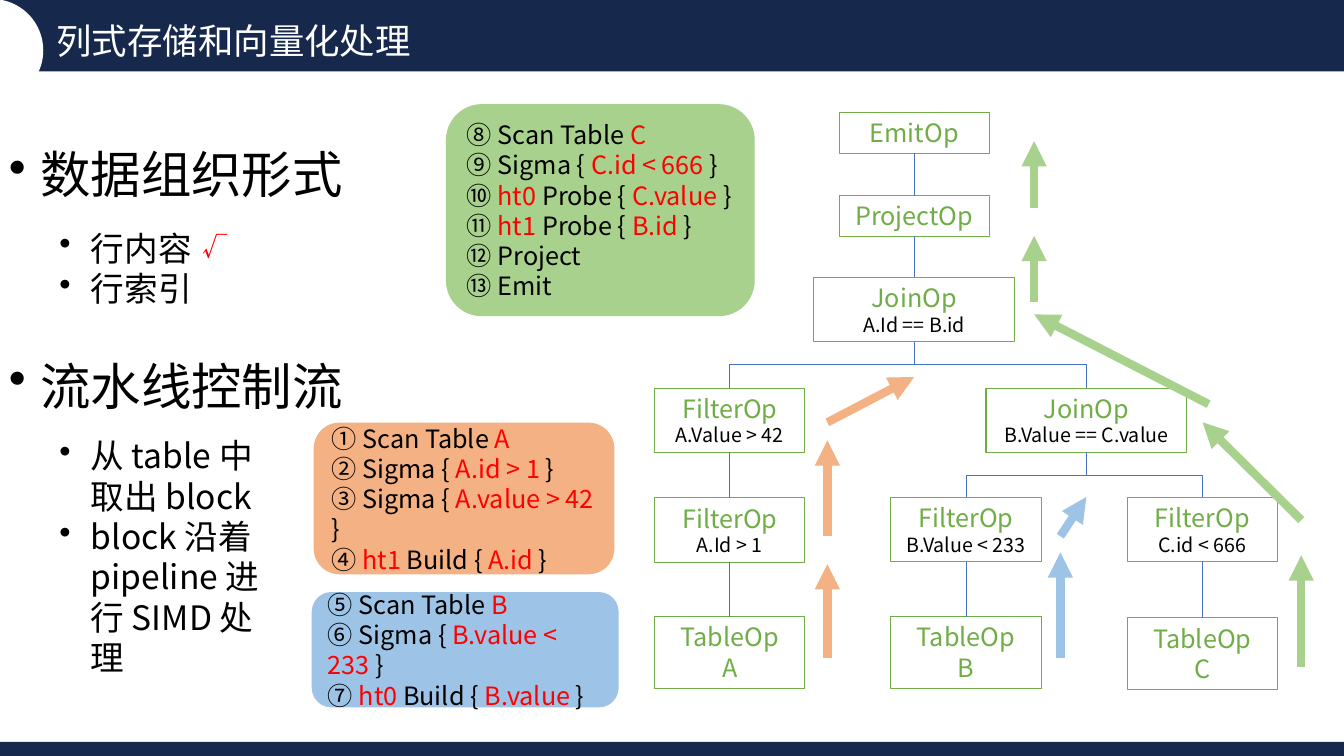
from lxml.etree import SubElement
from pptx import Presentation
from pptx.dml.color import RGBColor
from pptx.enum.shapes import MSO_CONNECTOR as Line, MSO_SHAPE as Kind
from pptx.enum.text import MSO_ANCHOR as Anchor, MSO_AUTO_SIZE as Fit, PP_ALIGN as Align
from pptx.oxml.ns import qn
from pptx.util import Pt

FONT = "Noto Sans CJK SC"
HEX = {
    "navy": "16294C", "white": "FFFFFF", "black": "000000", "red": "FF0000",
    "green": "70AD47", "blue": "4472C4",
    "peach": "F4B183", "sky": "9DC3E6", "lime": "A9D18E",
}
WIDE, HIGH = 960, 540

OPS = {
    "emit": (653, 80.6, 107.3, 29, "EmitOp", ""),
    "project": (653, 139.7, 107.3, 29, "ProjectOp", ""),
    "join": (653, 198, 143.4, 46, "JoinOp", "A.Id == B.id"),
    "value": (521.3, 277.2, 107.3, 46, "FilterOp", "A.Value > 42"),
    "probe": (776, 277.2, 143.4, 46, "JoinOp", "B.Value == C.value"),
    "id": (521.3, 355.6, 107.3, 46, "FilterOp", "A.Id > 1"),
    "sigma": (690, 355.2, 107.3, 46, "FilterOp", "B.Value < 233"),
    "scan": (858.8, 355.2, 107.3, 46, "FilterOp", "C.id < 666"),
    "A": (521.3, 440.6, 107.3, 51, "TableOp", "A"),
    "B": (690, 440.6, 107.3, 51, "TableOp", "B"),
    "C": (858.8, 441.4, 107.3, 51, "TableOp", "C"),
}
LINKS = [
    ("emit", "project"), ("project", "join"), ("join", "value"), ("join", "probe"),
    ("value", "id"), ("id", "A"), ("probe", "sigma"), ("probe", "scan"),
    ("sigma", "B"), ("scan", "C"),
]
FLOWS = {
    "peach": [(591, 470, 591, 403), (591, 383, 591, 314.6), (591, 301.7, 653, 269.3)],
    "sky": [(757.4, 470, 757.4, 394.6), (757.4, 383, 776, 355)],
    "lime": [(929.5, 476.6, 929.5, 396.7), (929.5, 371.5, 859, 301.7),
             (863.3, 288.7, 738.7, 224.6), (738.7, 216, 738.7, 168.5),
             (738.7, 148.3, 738.7, 100.8)],
}
STEPS = [
    ("peach", (224.6, 302.4, 213.8, 107.3), [
        "① Scan Table |A", "② Sigma { |A.id > 1 |}",
        "③ Sigma { |A.value > 42 |}", "④ |ht1| Build { |A.id| }"]),
    ("sky", (223.2, 423.4, 218.2, 81.4), [
        "⑤ Scan Table |B", "⑥ Sigma { |B.value < 233 |}",
        "⑦ |ht0| Build { |B.value| }"]),
    ("lime", (319, 74.9, 219.6, 150.5), [
        "⑧ Scan Table |C", "⑨ Sigma { |C.id < 666 |}",
        "⑩ |ht0| Probe { |C.value| }", "⑪ |ht1| Probe { |B.id| }",
        "⑫ Project", "⑬ Emit"]),
]


def tint(name):
    return RGBColor.from_string(HEX[name])


def write(frame, lines, size=18, color="black", align=Align.LEFT,
          bullet=0, level=0, gap=0, lead=1.2):
    for num, line in enumerate(lines):
        para = frame.paragraphs[0] if not frame.text else frame.add_paragraph()
        para.alignment, para.level = align, level
        para.line_spacing = Pt(round(size * lead, 1))
        para.space_before = Pt(gap if num else 0)
        if bullet:
            props = para._p.get_or_add_pPr()
            props.set("marL", str(Pt(bullet)))
            props.set("indent", str(Pt(-22.5)))
            SubElement(props, qn("a:buChar")).set("char", "•")
        for turn, part in enumerate(line.split("|")):
            if part:
                run = para.add_run()
                run.text = part
                run.font.size = Pt(size)
                run.font.color.rgb = tint("red" if turn % 2 else color)
                run.font.name = FONT
                SubElement(run.font._element, qn("a:ea")).set("typeface", FONT)


def block(slide, kind, box, fill=None, edge=None, width=1):
    shape = slide.shapes.add_shape(kind, *map(Pt, box))
    shape.shadow.inherit = False
    if fill:
        shape.fill.solid()
        shape.fill.fore_color.rgb = tint(fill)
    else:
        shape.fill.background()
    if edge:
        shape.line.color.rgb = tint(edge)
        shape.line.width = Pt(width)
    else:
        shape.line.fill.background()
    shape.text_frame.word_wrap = True
    return shape


def wire(slide, kind, ends, color, width):
    line = slide.shapes.add_connector(kind, *map(Pt, ends))
    line.line.color.rgb = tint(color)
    line.line.width = Pt(width)
    SubElement(line.element.spPr, qn("a:effectLst"))
    return line


def label(slide, box, lines, wrap=True, **style):
    frame = slide.shapes.add_textbox(*map(Pt, box)).text_frame
    frame.word_wrap = wrap
    write(frame, lines, **style)


def banner(slide, box, text):
    left, top, width, height = box
    block(slide, Kind.RECTANGLE, box, "navy")
    block(slide, Kind.OVAL, (left - 42.5, top - 0.7, 73.4, 73.4), "white")
    title = slide.shapes.title
    title.element.getparent().append(title.element)
    title.left, title.top = Pt(left + 40.3), Pt(top + 8.6)
    title.width, title.height = Pt(325), Pt(33)
    frame = title.text_frame
    frame.auto_size, frame.word_wrap = Fit.NONE, True
    frame.vertical_anchor = Anchor.TOP
    frame.margin_left = frame.margin_top = frame.margin_right = frame.margin_bottom = 0
    write(frame, [text], size=25.3, color="white", lead=1.39)


def points(slide, box):
    left, top, width, height = box
    label(slide, (left, top, width, 204), ["数据组织形式", "流水线控制流"],
          size=36, bullet=22.5, gap=108)
    sub = {"size": 24, "bullet": 58.5, "level": 1}
    label(slide, (left, top + 60.5, 148, 65), ["行内容", "行索引"], **sub)
    label(slide, (left + 138.2, top + 63.4, 32, 29), ["√"], wrap=False, color="red")
    label(slide, (left, top + 208.8, 210, 152.6),
          ["从 table 中取出 block", "block 沿着 pipeline 进行 SIMD 处理"], **sub)


def link(slide, above, below):
    start, end = above.left + above.width // 2, below.left + below.width // 2
    plain = abs(start - end) < Pt(1)
    line = wire(slide, Line.STRAIGHT if plain else Line.ELBOW, (0, 0, 9, 9), "blue", 0.5)
    line.begin_connect(above, 2)
    line.end_connect(below, 0)
    if not plain:
        base = above.top + above.height
        drop, span = below.top - base, abs(end - start)
        line.left = (start + end - drop) // 2
        line.top = base + (drop - span) // 2
        line.width, line.height = drop, span
        form = line.element.spPr.find(qn("a:xfrm"))
        form.set("rot", str((90 if end < start else 270) * 60000))
        form.set("flipH", "0" if end < start else "1")
        form.set("flipV", "0")


def plan(slide):
    nodes = {}
    for key, (mid, top, width, height, name, note) in OPS.items():
        node = block(slide, Kind.RECTANGLE, (mid - width / 2, top, width, height),
                     edge="green", width=0.75)
        frame = node.text_frame
        frame.vertical_anchor = Anchor.TOP
        write(frame, [name], color="green", align=Align.CENTER)
        if note:
            table = name == "TableOp"
            write(frame, [note], size=18 if table else 14,
                  color="green" if table else "black", align=Align.CENTER)
        nodes[key] = node
    for above, below in LINKS:
        link(slide, nodes[above], nodes[below])


def flows(slide):
    for color, lines in FLOWS.items():
        for ends in lines:
            arrow = wire(slide, Line.STRAIGHT, ends, color, 6)
            SubElement(arrow.line._get_or_add_ln(), qn("a:tailEnd")).set("type", "triangle")


def steps(slide):
    for color, box, lines in STEPS:
        card = block(slide, Kind.ROUNDED_RECTANGLE, box, color, color)
        card.text_frame.vertical_anchor = Anchor.MIDDLE
        write(card.text_frame, lines)


def main():
    deck = Presentation()
    deck.slide_width, deck.slide_height = Pt(WIDE), Pt(HIGH)
    slide = deck.slides.add_slide(deck.slide_layouts[5])
    banner(slide, (0, 0, WIDE, 51), "列式存储和向量化处理")
    block(slide, Kind.RECTANGLE, (0, 530, WIDE, 10), "navy")
    points(slide, (-0.7, 98.6, 294, 362))
    plan(slide)
    flows(slide)
    steps(slide)
    deck.save("out.pptx")


if __name__ == "__main__":
    main()
